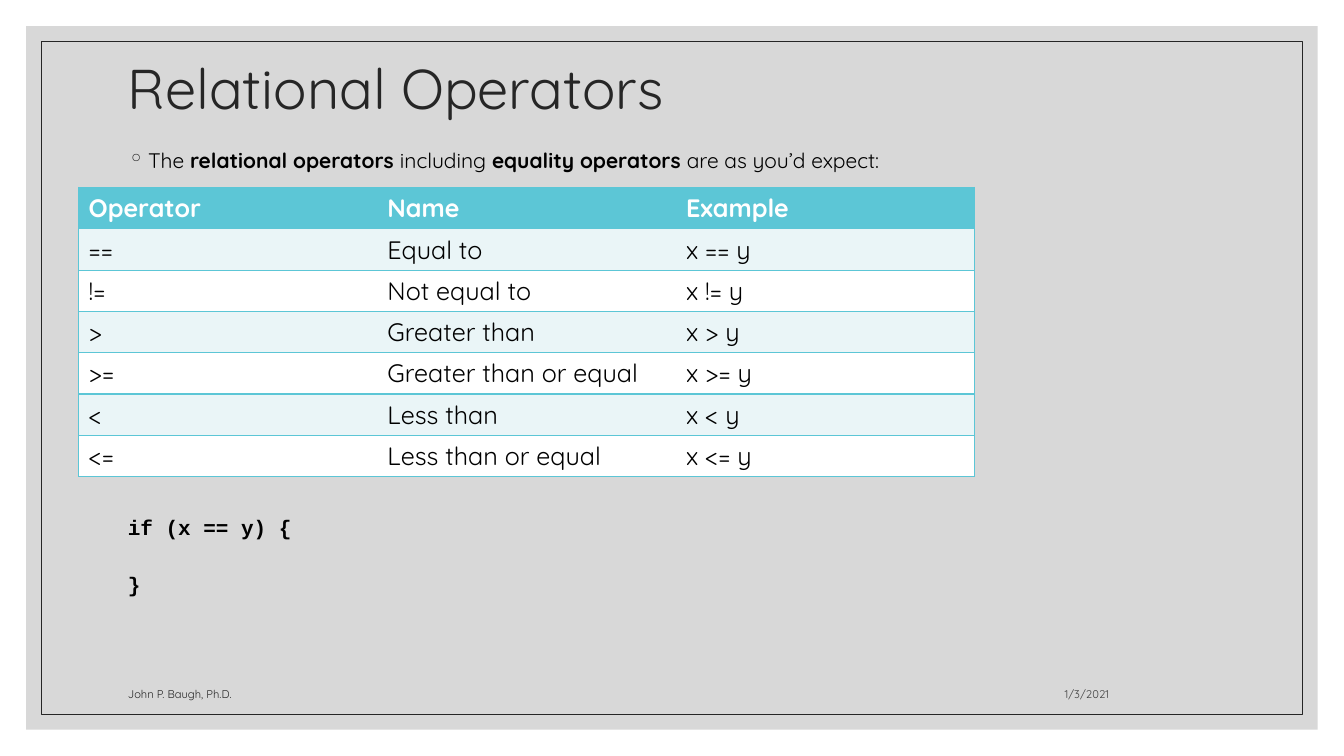
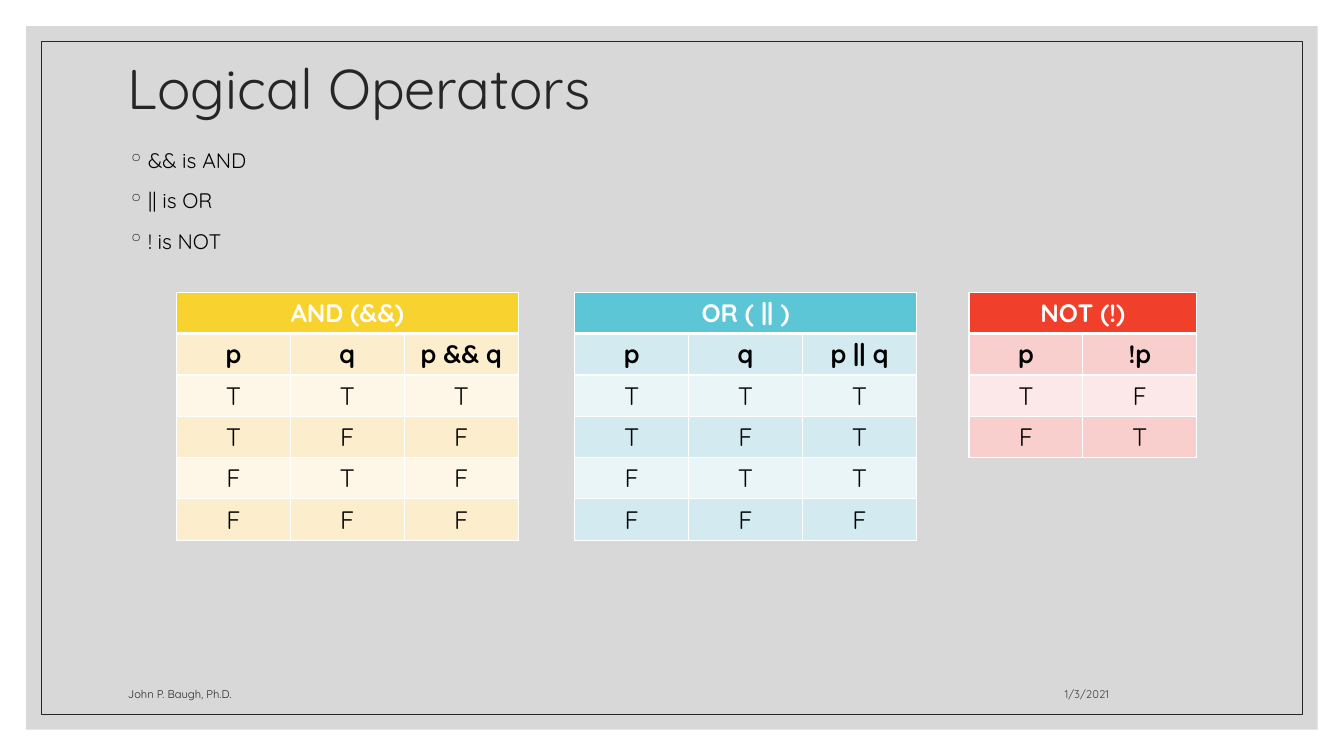
import pptx
import pptx.dml.color
import pptx.enum.shapes
import pptx.enum.text
import pptx.oxml
import pptx.oxml.ns
import pptx.util
from pptx.util import Inches

ALIGN = pptx.enum.text.PP_ALIGN
ANCHOR = pptx.enum.text.MSO_ANCHOR
RECTANGLE = pptx.enum.shapes.MSO_SHAPE.RECTANGLE
PLAIN_TABLE_STYLE = "{2D5ABB26-0587-4C30-8999-92F81FD0307C}"

SANS, MONO = "Quicksand", "Courier New"
BLACK, WHITE, INK, SOFT_INK, GRAY = "000000", "FFFFFF", "262626", "404040", "BFBFBF"
YELLOW = {"header": "F8D22F", "dark": "FCEECD", "light": "FEF7E8"}
TEAL = {"header": "5CC6D6", "dark": "D2EAF0", "light": "EAF5F7"}
RED = {"header": "F03F2B", "dark": "F9CFCD", "light": "FCE8E8"}

TEXT_STYLES = {
    "title": {"name": SANS, "size": 40, "color": INK},
    "body": {"name": SANS, "size": 15, "color": BLACK},
    "code": {"name": MONO, "size": 15, "color": BLACK, "bold": True},
    "author": {"name": SANS, "size": 8, "color": INK},
    "date": {"name": SANS, "size": 8, "color": SOFT_INK},
    "header": {"name": SANS, "size": 18, "color": WHITE, "bold": True},
    "label": {"name": SANS, "size": 18, "color": BLACK, "bold": True},
    "cell": {"name": SANS, "size": 18, "color": BLACK, "bold": False},
}

AUTHOR, DATE = "John P. Baugh, Ph.D.", "1/3/2021"
LEFT_MARGIN, CONTENT_WIDTH = 1.17, 11
ROW_HEIGHT = 0.41

# Each bullet is a list of (text, bold) spans.
RELATIONAL_BULLETS = [[
    ("The ", False), ("relational operators ", True), ("including ", False),
    ("equality operators ", True), ("are as you’d expect:", False),
]]
RELATIONAL_ROWS = [
    ("Operator", "Name", "Example"),
    ("==", "Equal to", "x == y"),
    ("!=", "Not equal to", "x != y"),
    (">", "Greater than", "x > y"),
    (">=", "Greater than or equal", "x >= y"),
    ("<", "Less than", "x < y"),
    ("<=", "Less than or equal", "x <= y"),
]
CODE_LINES = ["if (x == y) {", "}"]

LOGICAL_BULLETS = [[(text, False)] for text in ("&& is AND", "|| is OR", "! is NOT")]
TRUTH_TABLES = [
    {"left": 1.75, "palette": YELLOW, "title": "AND (&&)",
     "rows": [("p", "q", "p && q"), "TTT", "TFF", "FTF", "FFF"]},
    {"left": 5.7, "palette": TEAL, "title": "OR ( || )",
     "rows": [("p", "q", "p || q"), "TTT", "TFT", "FTT", "FFF"]},
    {"left": 9.61, "palette": RED, "title": "NOT (!)",
     "rows": [("p", "!p"), "TF", "FT"]},
]
TRUTH_TOP, TRUTH_COLUMN = 2.9, 1.13


def rgb(color):
    return pptx.dml.color.RGBColor.from_string(color)


def make_element(xml):
    """Parse a fragment whose root tag carries a {ns} slot for the a: namespace."""
    return pptx.oxml.parse_xml(xml.replace("{ns}", pptx.oxml.ns.nsdecls("a")))


def add_span(para, text, style, **changes):
    span = para.add_run()
    span.text = text
    for key, value in {**TEXT_STYLES[style], **changes}.items():
        if key == "color":
            span.font.color.rgb = rgb(value)
        else:
            setattr(span.font, key, pptx.util.Pt(value) if key == "size" else value)


def format_paragraph(para, **values):
    for key, value in values.items():
        setattr(para, key, value)


def add_text_box(slide, left, top, width, height, anchor=ANCHOR.TOP):
    box = slide.shapes.add_textbox(Inches(left), Inches(top), Inches(width), Inches(height))
    box.text_frame.word_wrap = True
    box.text_frame.vertical_anchor = anchor
    return box.text_frame


def add_line_of_text(slide, text, style, place, anchor, **paragraph_format):
    para = add_text_box(slide, *place, anchor).paragraphs[0]
    format_paragraph(para, **paragraph_format)
    add_span(para, text, style)


def add_paragraphs(frame, count):
    return [frame.paragraphs[0]] + [frame.add_paragraph() for _ in range(count - 1)]


def add_frame_rectangle(slide, inset):
    box = slide.shapes.add_shape(RECTANGLE, Inches(inset), Inches(inset),
                                 Inches(13.33 - 2 * inset), Inches(7.5 - 2 * inset))
    box.shadow.inherit = False
    return box


def add_base_slide(deck, title):
    """Add a slide with the gray panel, thin frame, title and footer."""
    slide = deck.slides.add_slide(deck.slide_layouts[6])
    panel = add_frame_rectangle(slide, 0.26)
    panel.fill.solid()
    panel.fill.fore_color.rgb = rgb(GRAY)
    panel.line.fill.background()
    color = next(panel.element.spPr.iter(pptx.oxml.ns.qn("a:srgbClr")))
    color.append(make_element('<a:alpha {ns} val="60000"/>'))

    border = add_frame_rectangle(slide, 0.41)
    border.fill.background()
    border.line.color.rgb = rgb(INK)
    border.line.width = pptx.util.Pt(0.5)

    add_line_of_text(slide, title, "title", (LEFT_MARGIN, 0.5, CONTENT_WIDTH, 0.82),
                     ANCHOR.MIDDLE, line_spacing=0.9)
    add_line_of_text(slide, DATE, "date", (7.94, 6.6, 3.16, 0.4),
                     ANCHOR.BOTTOM, alignment=ALIGN.RIGHT)
    add_line_of_text(slide, AUTHOR, "author", (LEFT_MARGIN, 6.6, 6.36, 0.4), ANCHOR.BOTTOM)
    return slide


def add_bullets(slide, bullets, height):
    frame = add_text_box(slide, LEFT_MARGIN, 1.39, CONTENT_WIDTH, height)
    for para, spans in zip(add_paragraphs(frame, len(bullets)), bullets):
        format_paragraph(para, line_spacing=1.1, space_before=pptx.util.Pt(9))
        for text, bold in spans:
            add_span(para, text, "body", bold=bold)
        properties = para._p.get_or_add_pPr()
        properties.set("marL", str(Inches(0.2)))
        properties.set("indent", str(-Inches(0.2)))
        properties.append(make_element(
            f'<a:buClr {{ns}}><a:srgbClr val="{INK}"/></a:buClr>'))
        properties.append(make_element('<a:buChar {ns} char="◦"/>'))


def add_code(slide, lines):
    frame = add_text_box(slide, LEFT_MARGIN, 5.03, CONTENT_WIDTH, 1)
    for para, line in zip(add_paragraphs(frame, len(lines)), lines):
        format_paragraph(para, line_spacing=1.1, space_before=pptx.util.Pt(21))
        add_span(para, line, "code")


def add_plain_table(slide, left, top, row_count, column_count, column_width):
    shape = slide.shapes.add_table(
        row_count, column_count, Inches(left), Inches(top),
        Inches(column_width * column_count), Inches(ROW_HEIGHT * row_count))
    for style_id in shape.element.iter(pptx.oxml.ns.qn("a:tableStyleId")):
        style_id.text = PLAIN_TABLE_STYLE
    for column in shape.table.columns:
        column.width = Inches(column_width)
    for row in shape.table.rows:
        row.height = Inches(ROW_HEIGHT)
    return shape.table


def format_cell(cell, fill, border_color, border_widths):
    """Fill a cell and draw its borders; border_widths maps L, R, T, B to points."""
    cell.fill.solid()
    cell.fill.fore_color.rgb = rgb(fill)
    sides = [side for side in "LRTB" if side in border_widths]
    for index, side in enumerate(sides):
        width = pptx.util.Pt(border_widths[side])
        cell._tc.get_or_add_tcPr().insert(index, make_element(
            f'<a:ln{side} {{ns}} w="{width}"><a:solidFill>'
            f'<a:srgbClr val="{border_color}"/></a:solidFill></a:ln{side}>'))


def write_cell(cell, text, style, alignment=ALIGN.LEFT):
    para = cell.text_frame.paragraphs[0]
    para.alignment = alignment
    add_span(para, text, style)


def add_operator_table(slide, rows):
    column_count = len(rows[0])
    table = add_plain_table(slide, 0.78, 1.86, len(rows), column_count, 8.89 / column_count)
    for row, texts in enumerate(rows):
        band = TEAL["light"] if row % 2 else WHITE
        for column, text in enumerate(texts):
            borders = {"T": 1, "B": 1}
            if column == 0:
                borders["L"] = 1
            if column == column_count - 1:
                borders["R"] = 1
            cell = table.cell(row, column)
            format_cell(cell, band if row else TEAL["header"], TEAL["header"], borders)
            write_cell(cell, text, "cell" if row else "header")


def add_truth_table(slide, left, palette, title, rows):
    column_count = len(rows[0])
    table = add_plain_table(slide, left, TRUTH_TOP, len(rows) + 1, column_count, TRUTH_COLUMN)
    for column in range(column_count):
        format_cell(table.cell(0, column), palette["header"], WHITE,
                    {"L": 1, "R": 1, "T": 1, "B": 3})
    table.cell(0, 0).merge(table.cell(0, column_count - 1))
    write_cell(table.cell(0, 0), title, "header", ALIGN.CENTER)

    for row, texts in enumerate(rows, start=1):
        fill = palette["dark" if row % 2 else "light"]
        borders = {"L": 1, "R": 1, "T": 3 if row == 1 else 1, "B": 1}
        for column, text in enumerate(texts):
            cell = table.cell(row, column)
            format_cell(cell, fill, WHITE, borders)
            write_cell(cell, text, "label" if row == 1 else "cell", ALIGN.CENTER)


def main():
    deck = pptx.Presentation()
    deck.slide_width, deck.slide_height = Inches(13.33), Inches(7.5)

    relational = add_base_slide(deck, "Relational Operators")
    add_bullets(relational, RELATIONAL_BULLETS, 0.4)
    add_operator_table(relational, RELATIONAL_ROWS)
    add_code(relational, CODE_LINES)

    logical = add_base_slide(deck, "Logical Operators")
    add_bullets(logical, LOGICAL_BULLETS, 1.3)
    for truth_table in TRUTH_TABLES:
        add_truth_table(logical, **truth_table)

    deck.save("out.pptx")


if __name__ == "__main__":
    main()
